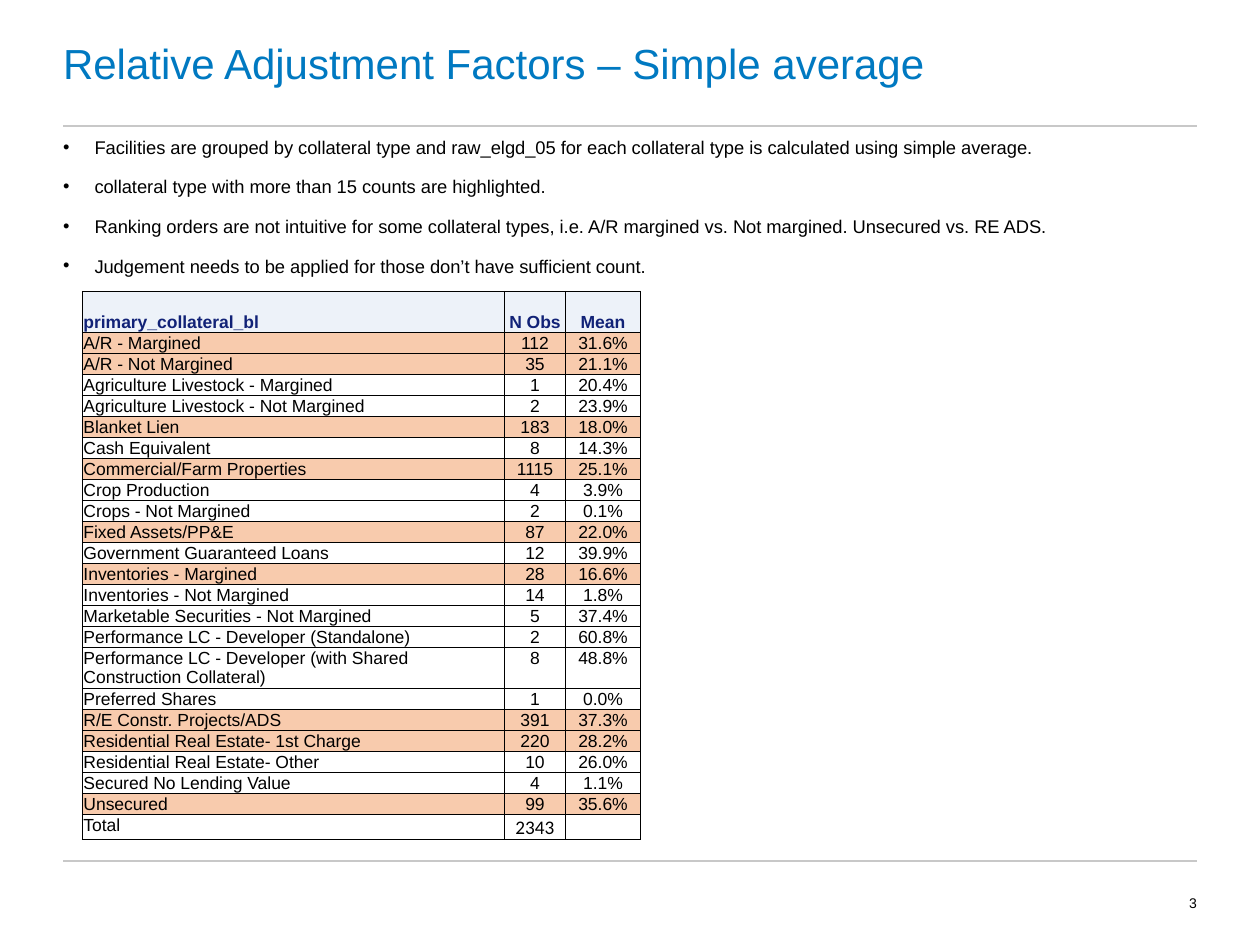
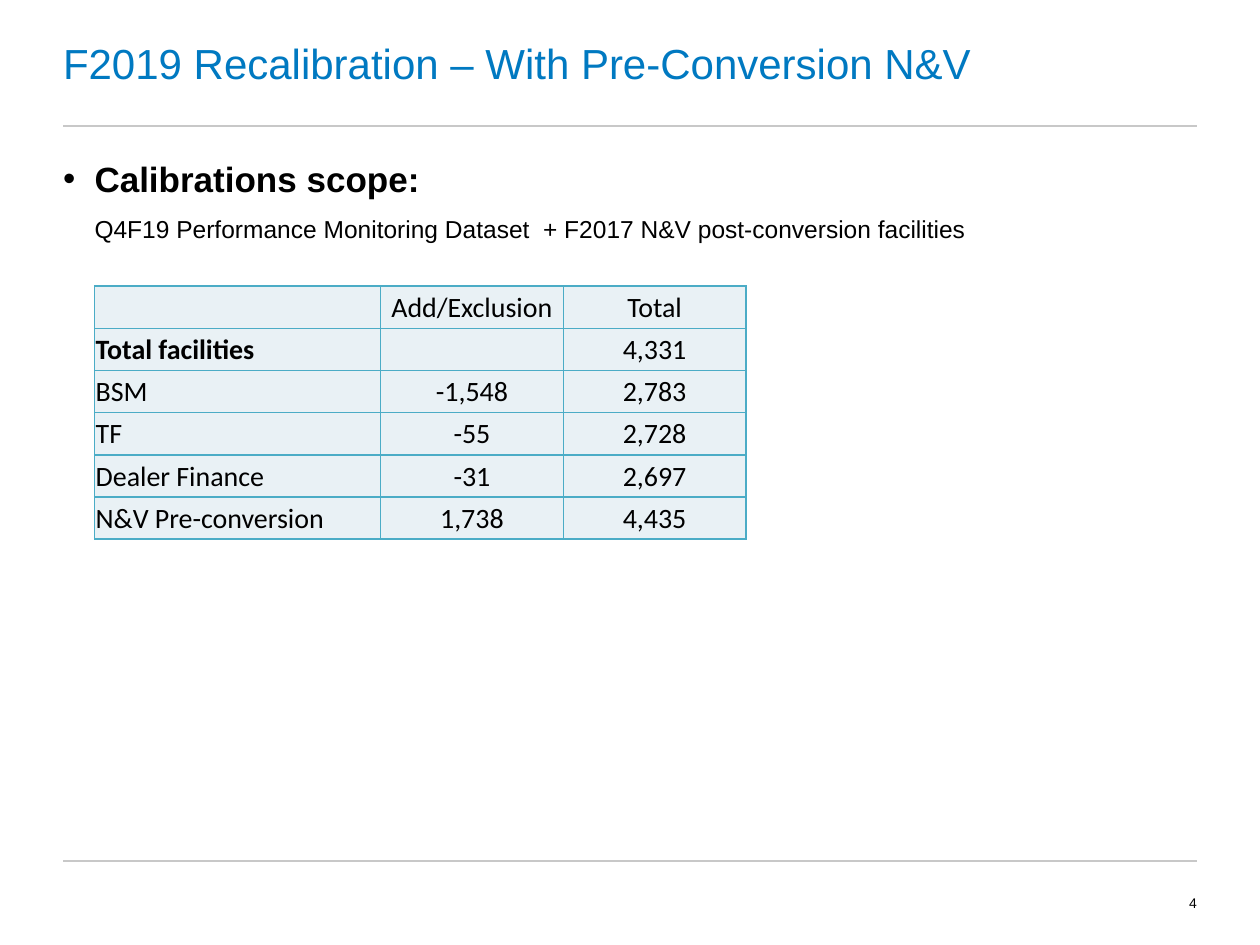
from lxml.etree import SubElement
from pptx import Presentation
from pptx.dml.color import RGBColor
from pptx.enum.shapes import MSO_CONNECTOR
from pptx.enum.text import MSO_ANCHOR, MSO_AUTO_SIZE, PP_ALIGN
from pptx.oxml.ns import qn
from pptx.util import Pt

BLACK, WHITE = "000000", "FFFFFF"
TITLE_BLUE, RULE_GREY = "0079C1", "C8C8C8"
HEADER_NAVY, HEADER_FILL, HIGHLIGHT = "112277", "EDF2F9", "F8CBAD"
TEAL, PALE_TEAL = "4BACC6", "E9F1F5"

PAGE_WIDTH, PAGE_HEIGHT = 720, 540
MARGIN, HEADER_RULE, FOOTER_RULE = 36, 72, 492
CONTENT_WIDTH = PAGE_WIDTH - 2 * MARGIN
INDENT = 18
MINIMUM_COUNT = 15

COLLATERAL = [
    ("A/R - Margined", 112, "31.6%"),
    ("A/R - Not Margined", 35, "21.1%"),
    ("Agriculture Livestock - Margined", 1, "20.4%"),
    ("Agriculture Livestock - Not Margined", 2, "23.9%"),
    ("Blanket Lien", 183, "18.0%"),
    ("Cash Equivalent", 8, "14.3%"),
    ("Commercial/Farm Properties", 1115, "25.1%"),
    ("Crop Production", 4, "3.9%"),
    ("Crops - Not Margined", 2, "0.1%"),
    ("Fixed Assets/PP&E", 87, "22.0%"),
    ("Government Guaranteed Loans", 12, "39.9%"),
    ("Inventories - Margined", 28, "16.6%"),
    ("Inventories - Not Margined", 14, "1.8%"),
    ("Marketable Securities - Not Margined", 5, "37.4%"),
    ("Performance LC - Developer (Standalone)", 2, "60.8%"),
    ("Performance LC - Developer (with Shared Construction Collateral)", 8, "48.8%"),
    ("Preferred Shares", 1, "0.0%"),
    ("R/E Constr. Projects/ADS", 391, "37.3%"),
    ("Residential Real Estate- 1st Charge", 220, "28.2%"),
    ("Residential Real Estate- Other", 10, "26.0%"),
    ("Secured No Lending Value", 4, "1.1%"),
    ("Unsecured", 99, "35.6%"),
]

SCOPE = [
    ("", "Add/Exclusion", "Total"),
    ("Total facilities", "", "4,331"),
    ("BSM", "-1,548", "2,783"),
    ("TF", "-55", "2,728"),
    ("Dealer Finance", "-31", "2,697"),
    ("N&V Pre-conversion", "1,738", "4,435"),
]


def color(value):
    return RGBColor.from_string(value)


def write(paragraph, text, size=10, font="Arial", ink=BLACK, bold=False,
          align=PP_ALIGN.LEFT, before=0):
    paragraph.alignment = align
    paragraph.space_before = Pt(before)
    if not text:
        SubElement(paragraph._p, qn("a:endParaRPr"), sz=str(int(size * 100)))
        return
    span = paragraph.add_run()
    span.text = text
    span.font.size = Pt(size)
    span.font.name = font
    span.font.bold = bold
    span.font.color.rgb = color(ink)


def set_bullet(paragraph, bullet):
    properties = paragraph._p.get_or_add_pPr()
    properties.set("marL", str(Pt(INDENT)))
    properties.set("indent", str(Pt(-INDENT if bullet else 0)))
    if bullet:
        SubElement(properties, qn("a:buFont"), typeface="Arial")
        SubElement(properties, qn("a:buChar"), char="•")
    else:
        SubElement(properties, qn("a:buNone"))


def set_borders(cell, ink, width):
    properties = cell._tc.get_or_add_tcPr()
    for side in ("lnL", "lnR", "lnT", "lnB"):
        line = SubElement(properties, qn(f"a:{side}"), w=str(Pt(width)))
        fill = SubElement(line, qn("a:solidFill"))
        SubElement(fill, qn("a:srgbClr"), val=ink)


class Deck:
    def __init__(self):
        self.file = Presentation()
        self.file.slide_width = Pt(PAGE_WIDTH)
        self.file.slide_height = Pt(PAGE_HEIGHT)
        self.page = None

    def add_page(self, title, number):
        self.page = self.file.slides.add_slide(self.file.slide_layouts[1])
        frame = self.frame(self.page.shapes.title, MARGIN, 0, CONTENT_WIDTH,
                           HEADER_RULE, MSO_ANCHOR.MIDDLE)
        write(frame.paragraphs[0], title, size=24, ink=TITLE_BLUE)
        for top in (HEADER_RULE, FOOTER_RULE):
            self.rule(top)
        box = self.page.shapes.add_textbox(0, 0, 0, 0)
        frame = self.frame(box, PAGE_WIDTH - 2 * MARGIN, FOOTER_RULE, MARGIN,
                           PAGE_HEIGHT - FOOTER_RULE, MSO_ANCHOR.MIDDLE)
        write(frame.paragraphs[0], str(number), size=8, align=PP_ALIGN.RIGHT)

    def frame(self, box, left, top, width, height, anchor=MSO_ANCHOR.TOP):
        box.left, box.top, box.width, box.height = map(Pt, (left, top, width, height))
        frame = box.text_frame
        frame.word_wrap = True
        frame.auto_size = MSO_AUTO_SIZE.NONE
        frame.vertical_anchor = anchor
        frame.margin_left = frame.margin_right = 0
        frame.margin_top = frame.margin_bottom = 0
        return frame

    def rule(self, top):
        line = self.page.shapes.add_connector(
            MSO_CONNECTOR.STRAIGHT, Pt(MARGIN), Pt(top), Pt(PAGE_WIDTH - MARGIN), Pt(top))
        line.line.color.rgb = color(RULE_GREY)
        line.line.width = Pt(0.75)
        SubElement(line._element.spPr, qn("a:effectLst"))

    def body(self, top, height, items):
        frame = self.frame(self.page.placeholders[1], MARGIN, top, CONTENT_WIDTH, height)
        for index, (text, level, style) in enumerate(items):
            paragraph = frame.add_paragraph() if index else frame.paragraphs[0]
            paragraph.level = level
            write(paragraph, text, before=8 if level else 10, **style)
            set_bullet(paragraph, bullet=level == 0)

    def table(self, left, top, widths, heights, border, border_width):
        table = self.page.shapes.add_table(
            len(heights), len(widths), Pt(left), Pt(top),
            Pt(sum(widths)), Pt(sum(heights))).table
        table.first_row = table.horz_banding = False
        for column, width in zip(table.columns, widths):
            column.width = Pt(width)
        for row, height in zip(table.rows, heights):
            row.height = Pt(height)
        for cell in table.iter_cells():
            set_borders(cell, border, border_width)
        return table

    def row(self, table, index, values, fill, anchor=MSO_ANCHOR.TOP, **style):
        for column, value in enumerate(values):
            cell = table.cell(index, column)
            cell.margin_left = cell.margin_top = cell.margin_right = Pt(0.72)
            cell.margin_bottom = 0
            cell.vertical_anchor = anchor
            cell.fill.solid()
            cell.fill.fore_color.rgb = color(fill)
            write(cell.text_frame.paragraphs[0], str(value),
                  align=PP_ALIGN.CENTER if column else PP_ALIGN.LEFT, **style)


def add_factors(deck):
    deck.add_page("Relative Adjustment Factors – Simple average", 3)
    points = [
        "Facilities are grouped by collateral type and raw_elgd_05 for each collateral type "
        "is calculated using simple average.",
        "collateral type with more than 15 counts are highlighted.",
        "Ranking orders are not intuitive for some collateral types, i.e. A/R margined vs. "
        "Not margined. Unsecured vs. RE ADS.",
        "Judgement needs to be applied for those don’t have sufficient count.",
    ]
    deck.body(77.75, 408, [(point, 0, {"size": 10.5}) for point in points])

    heights = [23.5] + [23.5 if len(name) > 50 else 12 for name, *_ in COLLATERAL] + [13]
    table = deck.table(47, 166.5, (241.2, 35, 42.8), heights, BLACK, 0.5)
    deck.row(table, 0, ("primary_collateral_bl", "N Obs", "Mean"), HEADER_FILL,
             anchor=MSO_ANCHOR.BOTTOM, ink=HEADER_NAVY, bold=True)
    for index, values in enumerate(COLLATERAL, start=1):
        deck.row(table, index, values, HIGHLIGHT if values[1] > MINIMUM_COUNT else WHITE)
    last = len(heights) - 1
    deck.row(table, last, ("Total", "", ""), WHITE)
    total = table.cell(last, 1)
    total.vertical_anchor = MSO_ANCHOR.BOTTOM
    paragraph = total.text_frame.paragraphs[0]
    paragraph._p.remove(paragraph._p.find(qn("a:endParaRPr")))
    write(paragraph, str(sum(count for _, count, _ in COLLATERAL)),
          size=11, font="Calibri", align=PP_ALIGN.CENTER)


def add_recalibration(deck):
    deck.add_page("F2019 Recalibration – With Pre-Conversion N&V", 4)
    deck.body(90, 392, [
        ("Calibrations scope:", 0, {"size": 20, "bold": True}),
        ("Q4F19 Performance Monitoring Dataset  + F2017 N&V post-conversion facilities",
         1, {"size": 14}),
    ])
    table = deck.table(54, 163.5, (163.5, 104.4, 104.4), [24.1] * len(SCOPE), TEAL, 1)
    for index, values in enumerate(SCOPE):
        deck.row(table, index, values, PALE_TEAL, anchor=MSO_ANCHOR.MIDDLE,
                 size=16, font="Calibri")
    table.cell(1, 0).text_frame.paragraphs[0].runs[0].font.bold = True


def main():
    deck = Deck()
    add_factors(deck)
    add_recalibration(deck)
    deck.file.save("out.pptx")


if __name__ == "__main__":
    main()
